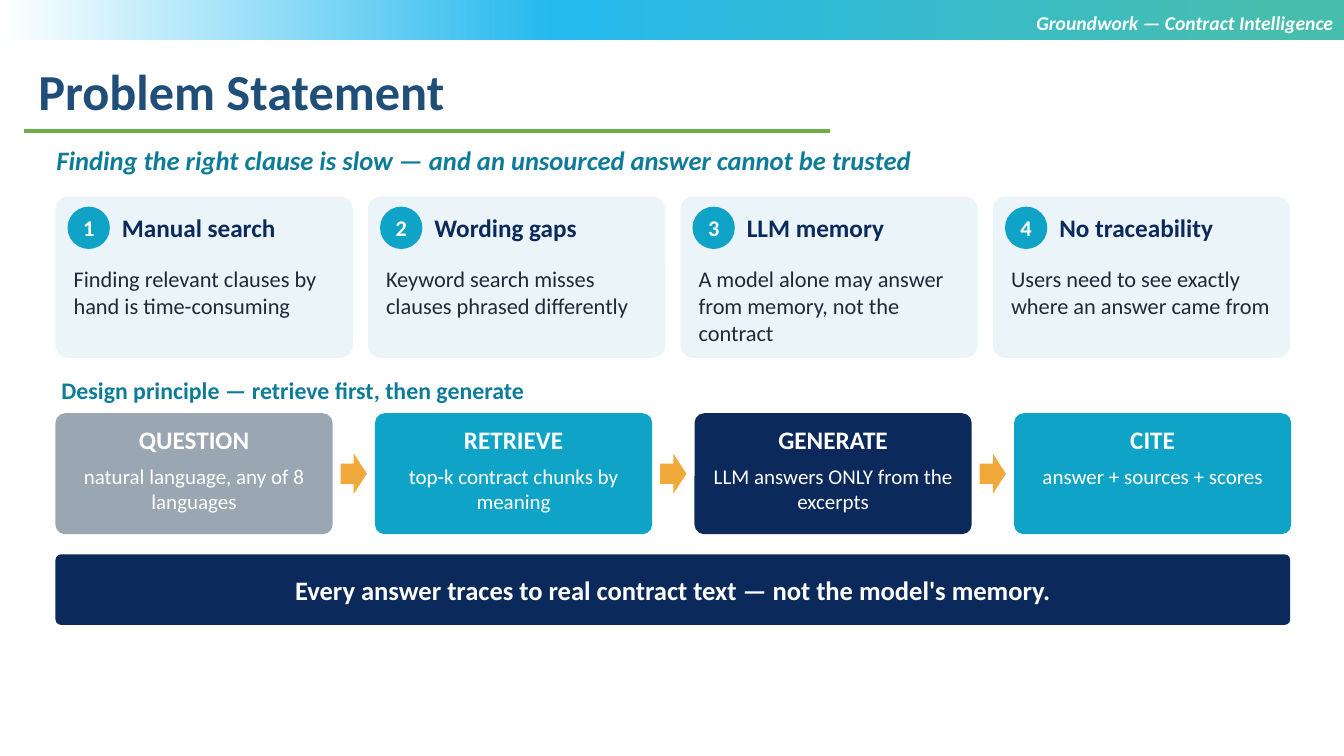
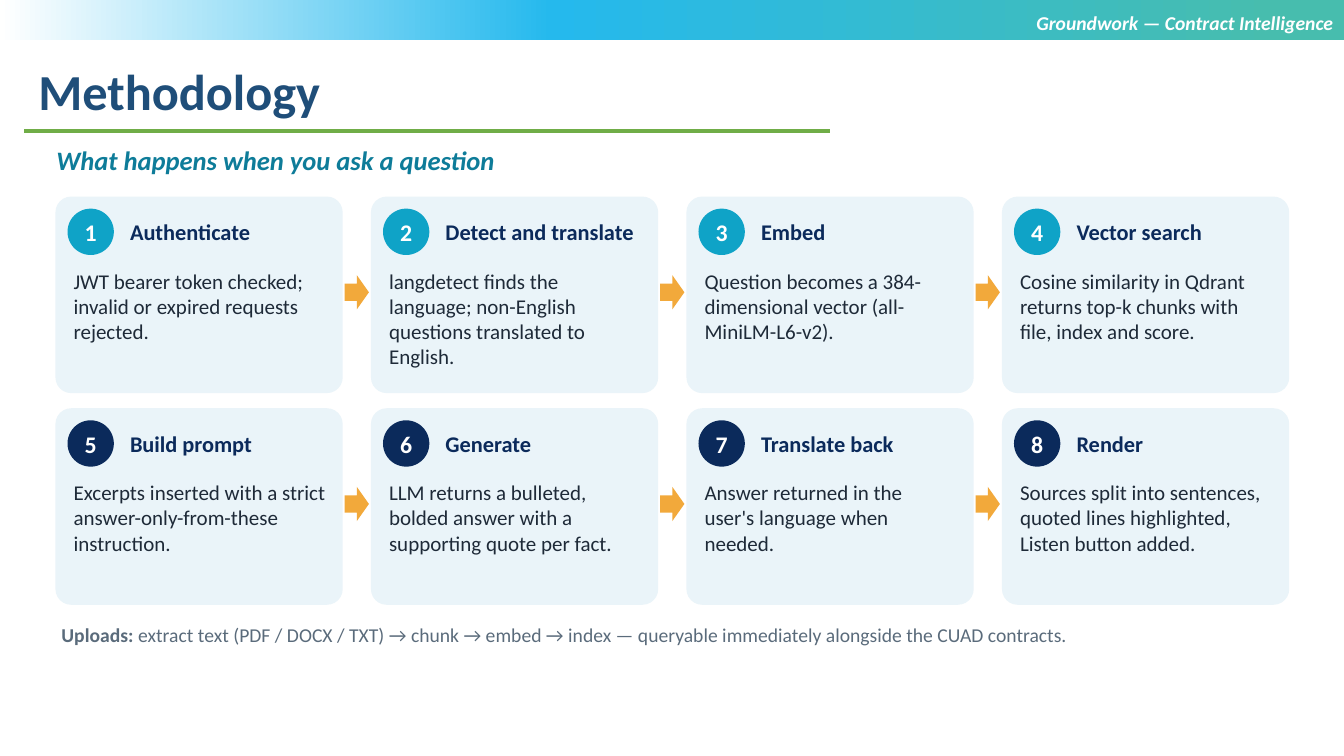
from copy import deepcopy
from typing import NamedTuple

from lxml.etree import SubElement
from pptx import Presentation
from pptx.dml.color import RGBColor
from pptx.enum.shapes import MSO_CONNECTOR, MSO_SHAPE
from pptx.enum.text import MSO_ANCHOR, MSO_AUTO_SIZE, PP_ALIGN
from pptx.oxml.ns import qn
from pptx.util import Pt

WHITE = RGBColor(0xFF, 0xFF, 0xFF)
NAVY = RGBColor(0x0B, 0x2A, 0x5B)
CYAN = RGBColor(0x0F, 0xA3, 0xC7)
TEAL = RGBColor(0x0E, 0x7C, 0x99)
GRAY = RGBColor(0x9A, 0xA7, 0xB3)
SLATE = RGBColor(0x5A, 0x6B, 0x7B)
INK = RGBColor(0x1E, 0x2A, 0x38)
PALE = RGBColor(0xEA, 0xF4, 0xF9)
AMBER = RGBColor(0xF2, 0xA9, 0x3B)
GREEN = RGBColor(0x70, 0xAD, 0x47)
TITLE_BLUE = RGBColor(0x1F, 0x4E, 0x79)
BAND_STOPS = [(0.05, RGBColor(0x47, 0xBD, 0xAE)), (0.59, RGBColor(0x25, 0xB9, 0xED)), (1, WHITE)]

FONT = "Calibri"
SLIDE_WIDTH, SLIDE_HEIGHT = 960, 540
LEFT = 39.6
CARDS_TOP = 140.4
PADDING = 8.64
TEXT_INSETS = (4.32, 2.16)
TITLE_INSETS = (7.2, 3.6)


class CardStyle(NamedTuple):
    width: float
    height: float
    badge_size: float
    badge_top: float
    badge_gap: float
    body_top: float
    body_width: float
    number_points: int
    heading_points: int
    body_points: int


PROBLEM_CARD = CardStyle(212.4, 115.2, 30.24, 7.2, 4.32, 46.8, 198, 16, 18, 16)
STEP_CARD = CardStyle(205.2, 140.4, 33.12, 8.64, 7.2, 48.96, 188.64, 17, 16, 15)


def write(paragraph, text, *, size, color=INK, bold=False, italic=False, align=PP_ALIGN.LEFT):
    """Append a formatted run to the paragraph."""
    paragraph.alignment = align
    run = paragraph.add_run()
    run.text = text
    run.font.name = FONT
    run.font.size = Pt(size)
    run.font.color.rgb = color
    run.font.bold = bold
    run.font.italic = italic


def set_frame(shape, insets=TEXT_INSETS, anchor=MSO_ANCHOR.TOP):
    """Set wrapping, (side, top and bottom) insets and anchor; return the text frame."""
    frame = shape.text_frame
    frame.word_wrap = True
    frame.auto_size = MSO_AUTO_SIZE.NONE
    frame.vertical_anchor = anchor
    frame.margin_left = frame.margin_right = Pt(insets[0])
    frame.margin_top = frame.margin_bottom = Pt(insets[1])
    return frame


class Deck:
    def __init__(self):
        self.presentation = Presentation()
        self.presentation.slide_width = Pt(SLIDE_WIDTH)
        self.presentation.slide_height = Pt(SLIDE_HEIGHT)
        self.slide = None

    def start_slide(self, title, subtitle):
        self.slide = self.presentation.slides.add_slide(self.presentation.slide_layouts[5])
        self.band()
        self.title(title)
        self.rule(17.28, 592.56, 93.6)
        self.text("Groundwork — Contract Intelligence", 479.52, 4.32, 480.24, 50.4,
                  insets=TITLE_INSETS, size=14, color=WHITE, bold=True, italic=True,
                  align=PP_ALIGN.RIGHT)
        self.text(subtitle, 36, 100.8, 885.6, 30.24, size=19, color=TEAL, bold=True, italic=True)

    def shape(self, kind, left, top, width, height, color=None):
        shape = self.slide.shapes.add_shape(kind, Pt(left), Pt(top), Pt(width), Pt(height))
        shape.shadow.inherit = False
        shape.line.fill.background()
        if color is not None:
            shape.fill.solid()
            shape.fill.fore_color.rgb = color
        return shape

    def band(self):
        band = self.shape(MSO_SHAPE.RECTANGLE, 0, 0, SLIDE_WIDTH, 28.8)
        band.fill.gradient()
        band.fill.gradient_angle = 180
        stop_list = band.element.spPr.find(".//" + qn("a:gsLst"))
        stop_list.append(deepcopy(stop_list[-1]))
        for stop, (position, color) in zip(band.fill.gradient_stops, BAND_STOPS):
            stop.position = position
            stop.color.rgb = color

    def title(self, text):
        title = self.slide.shapes.title
        title.left, title.top, title.width, title.height = Pt(20.16), Pt(39.6), Pt(836.64), Pt(50.4)
        frame = set_frame(title, TITLE_INSETS)
        write(frame.paragraphs[0], text, size=36, color=TITLE_BLUE, bold=True)

    def rule(self, left, right, top):
        line = self.slide.shapes.add_connector(
            MSO_CONNECTOR.STRAIGHT, Pt(left), Pt(top), Pt(right), Pt(top))
        line.line.color.rgb = GREEN
        line.line.width = Pt(2.25)
        SubElement(line.element.spPr, qn("a:effectLst"))

    def text(self, text, left, top, width, height, *, insets=TEXT_INSETS,
             anchor=MSO_ANCHOR.TOP, **text_format):
        """Add a text box and return its paragraph."""
        box = self.slide.shapes.add_textbox(Pt(left), Pt(top), Pt(width), Pt(height))
        paragraph = set_frame(box, insets, anchor).paragraphs[0]
        write(paragraph, text, **text_format)
        return paragraph

    def panel(self, left, top, width, height, color):
        panel = self.shape(MSO_SHAPE.ROUNDED_RECTANGLE, left, top, width, height, color)
        panel.adjustments[0] = 0.08
        return panel

    def card(self, number, heading, body, left, top, style, badge_color=CYAN):
        self.panel(left, top, style.width, style.height, PALE)
        inner_left = left + PADDING
        badge_top = top + style.badge_top
        badge = self.shape(MSO_SHAPE.OVAL, inner_left, badge_top,
                           style.badge_size, style.badge_size, badge_color)
        frame = set_frame(badge, (0, 2.16), MSO_ANCHOR.MIDDLE)
        write(frame.paragraphs[0], str(number), size=style.number_points, color=WHITE,
              bold=True, align=PP_ALIGN.CENTER)
        heading_left = inner_left + style.badge_size + style.badge_gap
        self.text(heading, heading_left, badge_top, left + style.width - 4 - heading_left,
                  style.badge_size, anchor=MSO_ANCHOR.MIDDLE, size=style.heading_points,
                  color=NAVY, bold=True)
        self.text(body, inner_left, top + style.body_top, style.body_width,
                  style.height - style.body_top - 2, size=style.body_points)

    def stage(self, heading, body, left, top, width, height, color):
        frame = set_frame(self.panel(left, top, width, height, color), (8, 5.7))
        heading_paragraph = frame.paragraphs[0]
        heading_paragraph.space_after = Pt(6.3)
        write(heading_paragraph, heading, size=18, color=WHITE, bold=True, align=PP_ALIGN.CENTER)
        write(frame.add_paragraph(), body, size=15, color=WHITE, align=PP_ALIGN.CENTER)

    def arrow(self, center_x, center_y, width, height):
        self.shape(MSO_SHAPE.RIGHT_ARROW, center_x - width / 2, center_y - height / 2,
                   width, height, AMBER)

    def banner(self, text, top):
        panel = self.panel(LEFT, top, 882, 50.4, NAVY)
        frame = set_frame(panel, anchor=MSO_ANCHOR.MIDDLE)
        write(frame.paragraphs[0], text, size=19, color=WHITE, bold=True, align=PP_ALIGN.CENTER)


def build_problem(deck):
    deck.start_slide("Problem Statement",
                     "Finding the right clause is slow — and an unsourced answer cannot be trusted")
    problems = [
        ("Manual search", "Finding relevant clauses by hand is time-consuming"),
        ("Wording gaps", "Keyword search misses clauses phrased differently"),
        ("LLM memory", "A model alone may answer from memory, not the contract"),
        ("No traceability", "Users need to see exactly where an answer came from"),
    ]
    for index, (heading, body) in enumerate(problems):
        left = LEFT + index * (PROBLEM_CARD.width + 10.8)
        deck.card(index + 1, heading, body, left, CARDS_TOP, PROBLEM_CARD)

    deck.text("Design principle — retrieve first, then generate", LEFT, 266.4, 432, 25.2,
              size=17, color=TEAL, bold=True)
    stages = [
        ("QUESTION", "natural language, any of 8 languages", GRAY),
        ("RETRIEVE", "top-k contract chunks by meaning", CYAN),
        ("GENERATE", "LLM answers ONLY from the excerpts", NAVY),
        ("CITE", "answer + sources + scores", CYAN),
    ]
    top, width, height, gap = 295.2, 198, 86.4, 30.24
    for index, (heading, body, color) in enumerate(stages):
        left = LEFT + index * (width + gap)
        if index:
            deck.arrow(left - gap / 2, top + height / 2, 18.72, 28.8)
        deck.stage(heading, body, left, top, width, height, color)
    deck.banner("Every answer traces to real contract text — not the model's memory.", 396)


def build_methodology(deck):
    deck.start_slide("Methodology", "What happens when you ask a question")
    steps = [
        ("Authenticate", "JWT bearer token checked; invalid or expired requests rejected."),
        ("Detect and translate",
         "langdetect finds the language; non-English questions translated to English."),
        ("Embed", "Question becomes a 384-dimensional vector (all-MiniLM-L6-v2)."),
        ("Vector search",
         "Cosine similarity in Qdrant returns top-k chunks with file, index and score."),
        ("Build prompt", "Excerpts inserted with a strict answer-only-from-these instruction."),
        ("Generate", "LLM returns a bulleted, bolded answer with a supporting quote per fact."),
        ("Translate back", "Answer returned in the user's language when needed."),
        ("Render",
         "Sources split into sentences, quoted lines highlighted, Listen button added."),
    ]
    column_gap, row_gap = 20.16, 10.8
    for index, (heading, body) in enumerate(steps):
        row, column = divmod(index, 4)
        left = LEFT + column * (STEP_CARD.width + column_gap)
        top = CARDS_TOP + row * (STEP_CARD.height + row_gap)
        if column:
            deck.arrow(left - column_gap / 2, top + 68.4, 17.28, 24.48)
        deck.card(index + 1, heading, body, left, top, STEP_CARD, NAVY if row else CYAN)

    uploads = deck.text("Uploads: ", LEFT, 442.8, 878.4, 27.36, size=14, color=SLATE, bold=True)
    write(uploads, "extract text (PDF / DOCX / TXT) → chunk → embed → index — "
          "queryable immediately alongside the CUAD contracts.", size=14, color=SLATE)


def main():
    deck = Deck()
    build_problem(deck)
    build_methodology(deck)
    deck.presentation.save("out.pptx")


if __name__ == "__main__":
    main()
